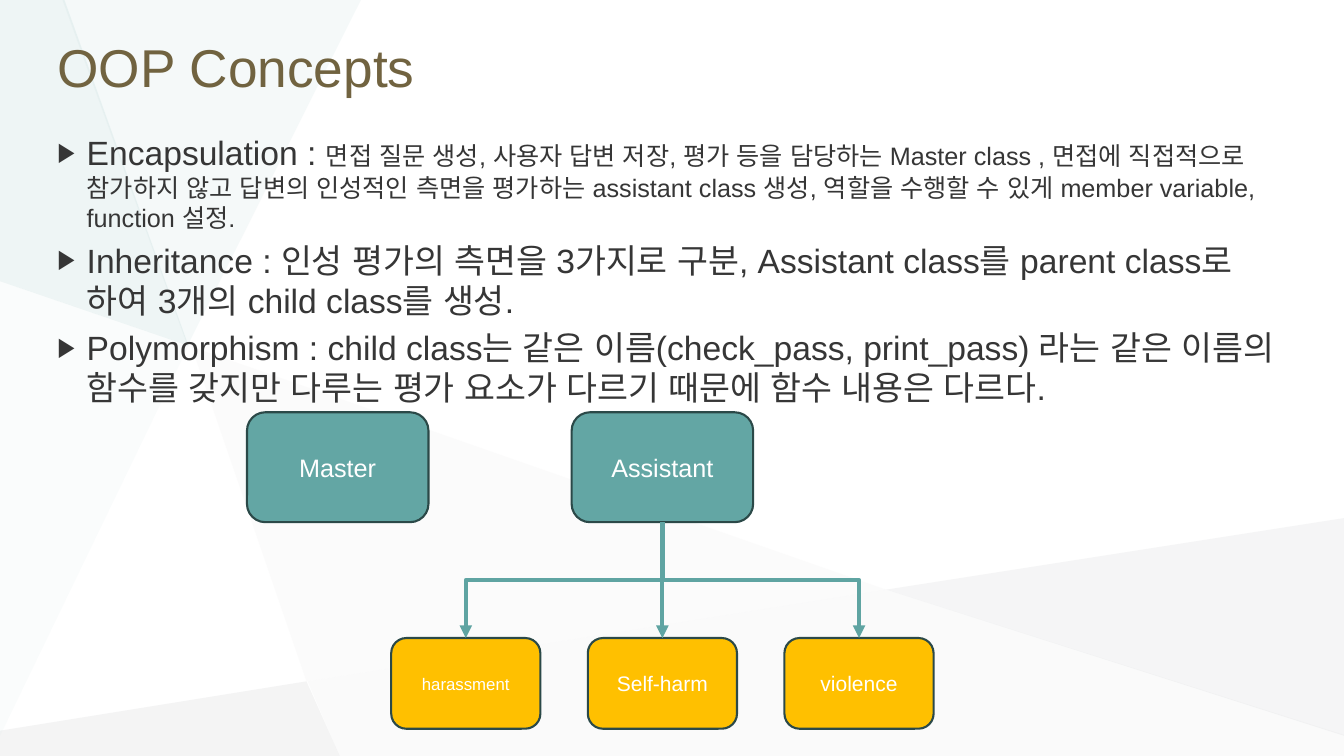
"""Build the OOP Concepts slide with its class tree."""
from lxml import etree
from pptx import Presentation
from pptx.dml.color import RGBColor
from pptx.enum.shapes import MSO_CONNECTOR, MSO_SHAPE
from pptx.enum.text import MSO_ANCHOR, MSO_AUTO_SIZE, PP_ALIGN
from pptx.oxml.ns import qn
from pptx.util import Inches, Pt

ROUND = MSO_SHAPE.ROUNDED_RECTANGLE
ELBOW, STRAIGHT = MSO_CONNECTOR.ELBOW, MSO_CONNECTOR.STRAIGHT
LEFT, CENTER = PP_ALIGN.LEFT, PP_ALIGN.CENTER
MIDDLE, TOP = MSO_ANCHOR.MIDDLE, MSO_ANCHOR.TOP
NO_FIT = MSO_AUTO_SIZE.NONE

WHITE = RGBColor(0xFF, 0xFF, 0xFF)
BROWN = RGBColor(0x71, 0x63, 0x40)
INK = RGBColor(0x36, 0x36, 0x36)
TEAL = RGBColor(0x63, 0xA6, 0xA4)
EDGE = RGBColor(0x2B, 0x49, 0x48)
LINK = RGBColor(0x5F, 0xA4, 0xA2)
GOLD = RGBColor(0xFF, 0xC0, 0x00)
PALE = RGBColor(0xF3, 0xF2, 0xF2)
GRAY = RGBColor(0xB6, 0xB8, 0xBA)
SILVER = RGBColor(0xC6, 0xC8, 0xCA)
MIST = RGBColor(0xE0, 0xED, 0xED)
MINT = RGBColor(0xC1, 0xDB, 0xDB)


def write(para, text, size, color, align=LEFT):
    """Add one formatted run to a paragraph."""
    para.alignment = align
    run = para.add_run()
    run.text = text
    run.font.name = "Arial"
    run.font.size = Pt(size)
    run.font.color.rgb = color
    etree.SubElement(run.font._element, qn("a:ea"), typeface="Arial")


def finish(line):
    """Style a connector as a flat arrow."""
    line.line.color.rgb = LINK
    line.line.width = Pt(3)
    etree.SubElement(line.line._get_or_add_ln(), qn("a:tailEnd"), type="triangle")
    etree.SubElement(line._element.spPr, qn("a:effectLst"))


deck = Presentation()
deck.slide_width, deck.slide_height = Inches(13.33), Inches(7.5)
slide = deck.slides.add_slide(deck.slide_layouts[1])
shapes = slide.shapes

FACETS = [
    (PALE, 26, [(190, 344), (304, 676), (879, 585)]),
    (GRAY, 15, [(304, 676), (0, 725), (0, 750), (337, 750)]),
    (MIST, 31, [(358, 0), (62, 0), (186, 343)]),
    (SILVER, 17, [(1333, 514), (879, 585), (1333, 730)]),
    (GRAY, 6, [(879, 585), (305, 676), (337, 750), (1333, 750), (1333, 729)]),
    (MINT, 27, [(64, 0), (0, 0), (0, 279), (187, 343)]),
    (MINT, 8, [(0, 279), (0, 730), (187, 343)]),
]
for rank, (color, alpha, dots) in enumerate(FACETS, 2):
    pen = shapes.build_freeform(*dots[0], scale=Inches(0.01))
    pen.add_line_segments(dots[1:])
    facet = pen.convert_to_shape()
    facet.shadow.inherit = False
    facet.line.fill.background()
    facet.fill.solid()
    facet.fill.fore_color.rgb = color
    tint = facet._element.spPr.find(".//" + qn("a:srgbClr"))
    etree.SubElement(tint, qn("a:alpha"), val=str(alpha * 1000))
    shapes._spTree.insert(rank, facet._element)

title, body = slide.placeholders
for holder, top, height, anchor in [(title, 0.14, 1.03, MIDDLE), (body, 1.26, 2.66, TOP)]:
    holder.left, holder.width = Inches(0.47), Inches(12.36)
    holder.top, holder.height = Inches(top), Inches(height)
    frame = holder.text_frame
    frame.word_wrap, frame.auto_size = True, NO_FIT
    frame.vertical_anchor = anchor
write(title.text_frame.paragraphs[0], "OOP Concepts", 38, BROWN)

POINTS = [
    [("Encapsulation : ", 24),
     ("면접 질문 생성, 사용자 답변 저장, 평가 등을 담당하는 Master class , 면접에 "
      "직접적으로 참가하지 않고 답변의 인성적인 측면을 평가하는 assistant class 생성, "
      "역할을 수행할 수 있게 member variable, function 설정.", 18)],
    [("Inheritance : 인성 평가의 측면을 3가지로 구분, Assistant class를 parent class로 "
      "하여 3개의 child class를 생성.", 24)],
    [("Polymorphism : child class는 같은 이름(check_pass, print_pass) 라는 같은 이름의 "
      "함수를 갖지만 다루는 평가 요소가 다르기 때문에 함수 내용은 다르다.", 24)],
]
frame = body.text_frame
for row, parts in enumerate(POINTS):
    para = frame.add_paragraph() if row else frame.paragraphs[0]
    for text, size in parts:
        write(para, text, size, INK)
    props = para._p.get_or_add_pPr()
    props.set("marL", str(Inches(0.29)))
    props.set("indent", str(Inches(-0.34)))
    space = etree.SubElement(props, qn("a:spcBef"))
    etree.SubElement(space, qn("a:spcPct"), val="20000")
    shade = etree.SubElement(props, qn("a:buClr"))
    etree.SubElement(shade, qn("a:srgbClr"), val=str(INK))
    etree.SubElement(props, qn("a:buSzPct"), val="80000")
    etree.SubElement(props, qn("a:buFont"), typeface="Arial")
    etree.SubElement(props, qn("a:buChar"), char="▶")

BIG = (4.09, 1.8, 1.09, TEAL)
SMALL = (6.33, 1.48, 0.9, GOLD)
STEP = 1.95
NODES = [("Master", 2.45, 18, BIG), ("Assistant", 5.67, 18, BIG)]
KIDS = [("harassment", 12), ("Self-harm", 15), ("violence", 15)]
NODES += [(name, 3.88 + STEP * col, size, SMALL) for col, (name, size) in enumerate(KIDS)]
boxes = {}
for name, left, size, (top, width, height, color) in NODES:
    box = shapes.add_shape(ROUND, Inches(left), Inches(top), Inches(width), Inches(height))
    box.shadow.inherit = False
    box.fill.solid()
    box.fill.fore_color.rgb = color
    box.line.color.rgb = EDGE
    box.line.width = Pt(1.5)
    box.text_frame.word_wrap = True
    box.text_frame.vertical_anchor = MIDDLE
    write(box.text_frame.paragraphs[0], name, size, WHITE, CENTER)
    boxes[name] = box

root = boxes["Assistant"]
trunk = shapes.add_connector(STRAIGHT, 0, 0, 0, 0)
trunk.begin_connect(root, 2)
trunk.end_connect(boxes["Self-harm"], 0)
finish(trunk)

start, foot = root.left + root.width // 2, root.top + root.height
for name, side in [("harassment", -1), ("violence", 1)]:
    kid = boxes[name]
    goal = kid.left + kid.width // 2
    mid_x, mid_y = (start + goal) // 2, (foot + kid.top) // 2
    drop, reach = side * (kid.top - foot) // 2, abs(goal - start) // 2
    arm = shapes.add_connector(ELBOW, mid_x + drop, mid_y - reach, mid_x - drop, mid_y + reach)
    arm._element.spPr.find(qn("a:xfrm")).set("rot", str((180 + side * 90) * 60000))
    finish(arm)

deck.save("out.pptx")
